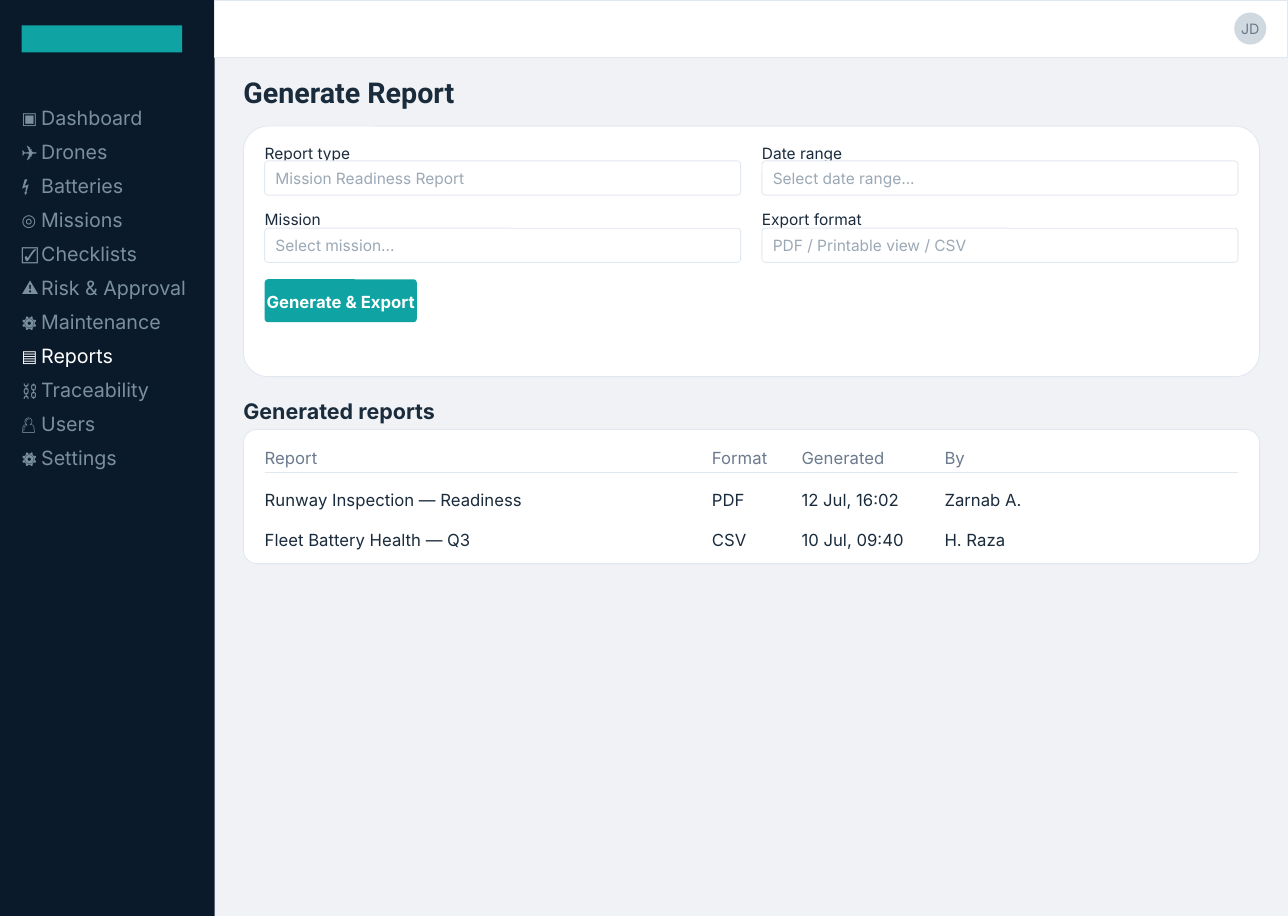
from dataclasses import dataclass
from typing import NamedTuple, Optional

import pptx
import pptx.dml.color
import pptx.enum.shapes
import pptx.enum.text
import pptx.oxml
import pptx.oxml.ns
import pptx.util

Cm, Pt = pptx.util.Cm, pptx.util.Pt
SHAPE = pptx.enum.shapes.MSO_SHAPE
ALIGN = pptx.enum.text.PP_ALIGN
NO_GRID_STYLE = "{2D5ABB26-0587-4C30-8999-92F81FD0307C}"


@dataclass(frozen=True)
class Theme:
    page: str = "F0F2F5"
    sidebar: str = "0A1A2B"
    white: str = "FFFFFF"
    accent: str = "0FA3A3"
    border: str = "E2E8F0"
    avatar: str = "D1D9E0"
    ink: str = "1A2B3C"
    muted: str = "6B7A8D"
    nav: str = "7A8FA0"
    hint: str = "9BA8B5"
    heading_font: str = "Roboto"
    body_font: str = "Inter"
    title_size: float = 24
    section_size: float = 18
    nav_size: float = 16.5
    cell_size: float = 14
    field_size: float = 13
    avatar_size: float = 12
    leading: float = 1.4


class NavItem(NamedTuple):
    icon: str
    label: str
    active: bool = False


class Field(NamedTuple):
    label: str
    hint: str
    col: int
    row: int


T = Theme()

NAV = [
    NavItem("▣", "Dashboard"),
    NavItem("✈", "Drones"),
    NavItem("⚡", "Batteries"),
    NavItem("◎", "Missions"),
    NavItem("☑", "Checklists"),
    NavItem("⚠", "Risk & Approval"),
    NavItem("⚙", "Maintenance"),
    NavItem("▤", "Reports", active=True),
    NavItem("⛓", "Traceability"),
    NavItem("👤", "Users"),
    NavItem("⚙", "Settings"),
]
FIELDS = [
    Field("Report type", "Mission Readiness Report", 0, 0),
    Field("Mission", "Select mission...", 0, 1),
    Field("Date range", "Select date range...", 1, 0),
    Field("Export format", "PDF / Printable view / CSV", 1, 1),
]
REPORTS = [
    ("Report", "Format", "Generated", "By"),
    ("Runway Inspection — Readiness", "PDF", "12 Jul, 16:02", "Zarnab A."),
    ("Fleet Battery Health — Q3", "CSV", "10 Jul, 09:40", "H. Raza"),
]
COLUMN_WIDTHS = (13.23, 2.65, 4.23, 8.68)

# Shared edges, in centimetres
SIDEBAR_W, NAV_X = 6.35, 0.64
CARD_X, CARD_W = 7.2, 30.06
INNER_X = 7.83


def rgb(color: str) -> pptx.dml.color.RGBColor:
    return pptx.dml.color.RGBColor.from_string(color)


def write(tf, text: str, *, size: float, color: str, font: str = T.body_font,
          bold: bool = False, align=None) -> None:
    """Fill the first paragraph of a text frame."""
    p = tf.paragraphs[0]
    p.alignment = align
    p.line_spacing = Pt(size * T.leading)
    r = p.add_run()
    r.text = text
    r.font.name, r.font.size, r.font.bold = font, Pt(size), bold
    r.font.color.rgb = rgb(color)


def text_box(s, x: float, y: float, w: float, text: str, *, size: float, **fmt) -> None:
    height = Pt(size * T.leading)
    tf = s.shapes.add_textbox(Cm(x), Cm(y), Cm(w), height).text_frame
    tf.margin_left = tf.margin_right = tf.margin_top = tf.margin_bottom = 0
    tf.word_wrap = True
    write(tf, text, size=size, **fmt)


def block(s, x: float, y: float, w: float, h: float, fill: str, *,
          kind=SHAPE.RECTANGLE, radius: float = 0, line: Optional[str] = None) -> None:
    if radius:
        kind = SHAPE.ROUNDED_RECTANGLE
    sp = s.shapes.add_shape(kind, Cm(x), Cm(y), Cm(w), Cm(h))
    sp.shadow.inherit = False
    if radius:
        sp.adjustments[0] = radius / min(w, h)
    sp.fill.solid()
    sp.fill.fore_color.rgb = rgb(fill)
    if line:
        sp.line.color.rgb = rgb(line)
        sp.line.width = Pt(0.75)
    else:
        sp.line.fill.background()


def draw_sidebar(s, height: float) -> None:
    block(s, 0, 0, SIDEBAR_W, height, T.sidebar)
    # Plain header bar
    block(s, NAV_X, 0.75, 4.75, 0.8, T.accent)
    # Menu
    top, bottom = 3.02, 13.07
    pitch = (bottom - top) / (len(NAV) - 1)
    for i, item in enumerate(NAV):
        y = top + i * pitch
        color = T.white if item.active else T.nav
        text_box(s, NAV_X, y + 0.08, 0.53, item.icon, size=T.cell_size, color=color)
        text_box(s, 1.22, y, 4.45, item.label, size=T.nav_size, color=color)


def draw_top_bar(s) -> None:
    block(s, SIDEBAR_W, 0, 31.75, 1.69, T.white, line=T.border)
    block(s, 36.51, 0.37, 0.95, 0.95, T.avatar, kind=SHAPE.OVAL)
    text_box(s, 36.51, 0.5, 0.95, "JD", size=T.avatar_size, color=T.muted,
             align=ALIGN.CENTER)


def draw_field(s, field: Field) -> None:
    x = INNER_X + 14.71 * field.col
    label_y, input_y = 4.16 + 1.96 * field.row, 4.76 + 1.99 * field.row
    text_box(s, x, label_y, 14.08, field.label, size=T.field_size, color=T.ink)
    block(s, x, input_y, 14.08, 1.01, T.white, radius=0.1, line=T.border)
    text_box(s, x + 0.32, input_y + 0.15, 13.44, field.hint,
             size=T.field_size, color=T.hint)


def draw_form(s) -> None:
    text_box(s, CARD_X, 2.05, 10.58, "Generate Report", size=T.title_size,
             color=T.ink, font=T.heading_font, bold=True)
    block(s, CARD_X, 3.73, CARD_W, 7.41, T.white, radius=0.73, line=T.border)
    for field in FIELDS:
        draw_field(s, field)
    block(s, INNER_X, 8.26, 4.5, 1.27, T.accent, radius=0.1)
    text_box(s, INNER_X, 8.53, 4.5, "Generate & Export", size=T.cell_size,
             color=T.white, bold=True, align=ALIGN.CENTER)


def draw_reports(s) -> None:
    text_box(s, CARD_X, 11.64, 7.94, "Generated reports", size=T.section_size,
             color=T.ink, bold=True)
    block(s, CARD_X, 12.7, CARD_W, 3.97, T.white, radius=0.4, line=T.border)
    heights = [1.07] + [1.19] * (len(REPORTS) - 1)
    table = s.shapes.add_table(
        len(REPORTS), len(COLUMN_WIDTHS), Cm(INNER_X), Cm(12.9),
        Cm(sum(COLUMN_WIDTHS)), Cm(sum(heights))).table
    table.first_row = table.horz_banding = False
    style = table._tbl.tblPr.find(pptx.oxml.ns.qn("a:tableStyleId"))
    style.text = NO_GRID_STYLE
    for column, width in zip(table.columns, COLUMN_WIDTHS):
        column.width = Cm(width)
    for i, (row, values) in enumerate(zip(table.rows, REPORTS)):
        header = i == 0
        row.height = Cm(heights[i])
        for cell, value in zip(row.cells, values):
            cell.fill.background()
            cell.margin_left = cell.margin_right = cell.margin_bottom = 0
            cell.margin_top = Cm(0.26 if header else 0.43)
            write(cell.text_frame, value, size=T.cell_size,
                  color=T.muted if header else T.ink)
            if header:
                cell._tc.get_or_add_tcPr().insert(0, pptx.oxml.parse_xml(
                    f'<a:lnB {pptx.oxml.ns.nsdecls("a")} w="{Pt(0.75)}"><a:solidFill>'
                    f'<a:srgbClr val="{T.border}"/></a:solidFill></a:lnB>'))


def main() -> None:
    width, height = 38.1, 27.09
    prs = pptx.Presentation()
    prs.slide_width, prs.slide_height = Cm(width), Cm(height)
    s = prs.slides.add_slide(prs.slide_layouts[6])
    s.background.fill.solid()
    s.background.fill.fore_color.rgb = rgb(T.page)
    draw_sidebar(s, height)
    draw_top_bar(s)
    draw_form(s)
    draw_reports(s)
    prs.save("out.pptx")


if __name__ == "__main__":
    main()
